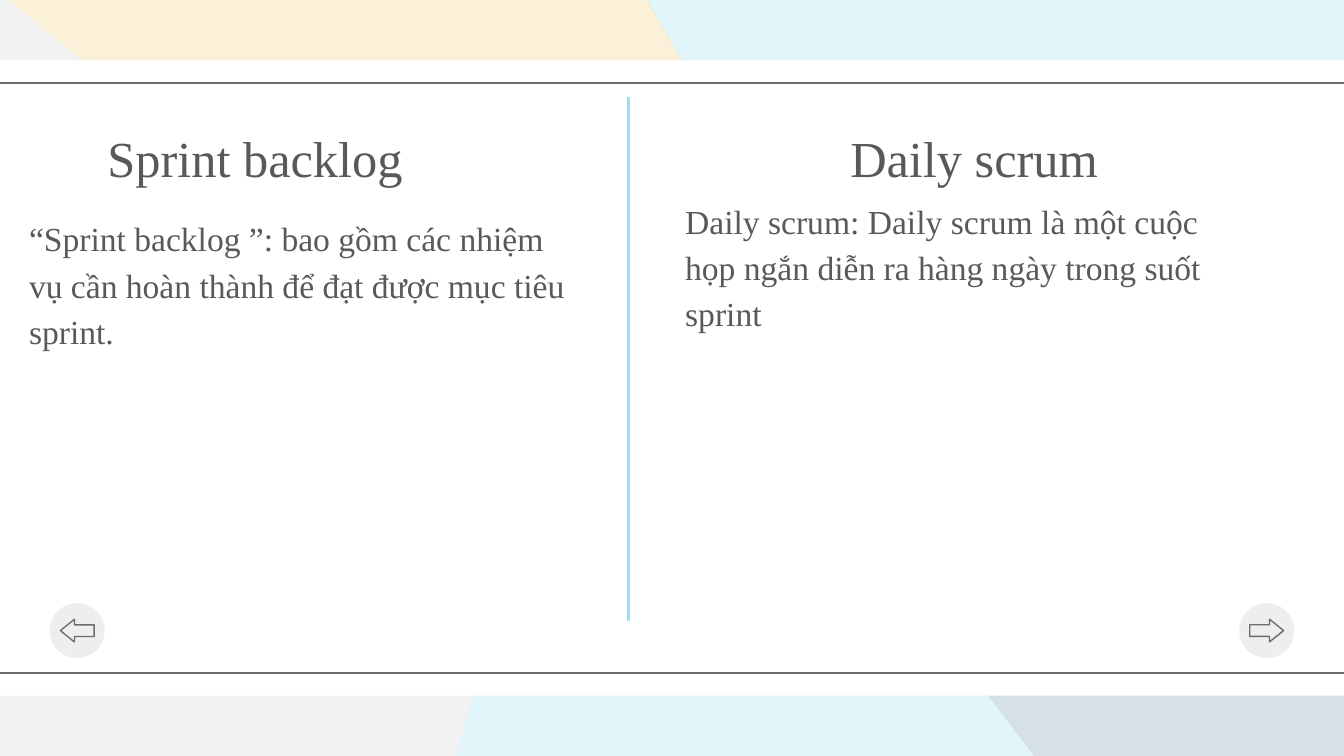
import pptx
import pptx.util
import pptx.dml.color
import pptx.enum.shapes
import pptx.enum.text
import pptx.oxml.ns
from dataclasses import dataclass
from lxml import etree

Cm, Pt = pptx.util.Cm, pptx.util.Pt
Kind = pptx.enum.shapes.MSO_SHAPE
WIDE, HIGH = 25.4, 14.29


@dataclass(frozen=True)
class Theme:
    font: str = "Times New Roman"
    text: str = "595959"
    line: str = "696E72"
    white: str = "FFFFFF"
    grey: str = "EEEEEE"
    sky: str = "9EDDEF"
    sand: str = "F7E5B7"
    steel: str = "96B3C1"
    head: float = 27
    body: float = 18
    thin: float = 0.75
    thick: float = 2


THEME = Theme()


def rgb(code):
    return pptx.dml.color.RGBColor.from_string(code)


def paint(shape, fill=None, line=None, alpha=None):
    """Set fill, outline and opacity in percent, and drop the shadow."""
    shape.shadow.inherit = False
    if fill:
        shape.fill.solid()
        shape.fill.fore_color.rgb = rgb(fill)
    else:
        shape.fill.background()
    if line:
        shape.line.color.rgb = rgb(line)
        shape.line.width = Pt(THEME.thin)
    else:
        shape.line.fill.background()
    if alpha:
        qn = pptx.oxml.ns.qn
        color = shape.fill._xPr.find(qn("a:solidFill"))[0]
        etree.SubElement(color, qn("a:alpha")).set("val", str(alpha * 1000))


def add_shape(slide, kind, box, **style):
    shape = slide.shapes.add_shape(kind, *map(Cm, box))
    paint(shape, **style)
    return shape


def add_line(slide, start, end, color, width):
    line = slide.shapes.add_connector(
        pptx.enum.shapes.MSO_CONNECTOR.STRAIGHT, *map(Cm, start + end))
    line.line.color.rgb = rgb(color)
    line.line.width = Pt(width)
    etree.SubElement(line._element.spPr, pptx.oxml.ns.qn("a:effectLst"))


def add_text(slide, box, text, size):
    shape = slide.shapes.add_textbox(*map(Cm, box))
    frame = shape.text_frame
    frame.word_wrap = True
    frame.vertical_anchor = pptx.enum.text.MSO_ANCHOR.TOP
    frame.margin_left = frame.margin_right = Cm(0.25)
    frame.margin_top = frame.margin_bottom = Cm(0.25)
    frame.text = text
    para = frame.paragraphs[0]
    font = para.runs[0].font
    font.name, font.size = THEME.font, Pt(size)
    font.color.rgb = rgb(THEME.text)
    return para


def add_frame(slide, box):
    """Coloured facets behind a white panel with a rule near each edge."""
    left, top, width, height = box
    facets = [
        (THEME.steel, 39, [(25.78, 15.06), (25.78, 8.15), (11.63, 3.86), (19.99, 14.88)]),
        (THEME.sky, 29, [(20.04, 14.96), (8.46, 14.83), (11.63, 3.71)]),
        (THEME.sky, 29, [(25.76, 8.15), (25.76, -0.25), (12.07, -0.25), (15.01, 4.8)]),
        (THEME.sand, 53, [(15.01, 4.85), (12.07, -0.3), (-0.2, -0.3),
                          (10.26, 8.41), (11.71, 3.86)]),
        (THEME.grey, 72, [(8.48, 14.78), (-0.08, 14.78), (-0.08, -0.2), (10.34, 8.36)]),
    ]
    for color, alpha, points in facets:
        points = [(Cm(left + x), Cm(top + y)) for x, y in points]
        build = slide.shapes.build_freeform(*points[0])
        build.add_line_segments(points[1:], close=True)
        paint(build.convert_to_shape(), fill=color, alpha=alpha)

    band, gap = 1.14, 0.43
    add_shape(slide, Kind.RECTANGLE, (left, top + band, width, height - 2 * band),
              fill=THEME.white)
    for y in (top + band + gap, top + height - band - gap):
        add_line(slide, (left, y), (left + width, y), THEME.line, THEME.thin)


def add_button(slide, box, turn):
    """Round button with an arrow centred in it, turned by degrees."""
    left, top, width, height = box
    add_shape(slide, Kind.OVAL, box, fill=THEME.grey)
    wide, high = 0.64, 0.43
    arrow = add_shape(slide, Kind.RIGHT_ARROW,
                      (left + (width - wide) / 2, top + (height - high) / 2, wide, high),
                      line=THEME.line)
    arrow.adjustments[0], arrow.adjustments[1] = 0.51, 0.62
    arrow.rotation = turn


def add_column(slide, box, head, body, inset, drop):
    """Heading moved in by inset, with the body text drop below the top."""
    left, top, width, height = box
    add_text(slide, (left + inset, top, width - inset, 1.47), head, THEME.head)
    para = add_text(slide, (left, top + drop, width, height - drop), body, THEME.body)
    para.line_spacing = 1.15
    para.space_after = Pt(16)


def main():
    deck = pptx.Presentation()
    deck.slide_width, deck.slide_height = Cm(WIDE), Cm(HIGH)
    slide = deck.slides.add_slide(deck.slide_layouts[6])

    add_frame(slide, (0, 0, WIDE, HIGH))
    side, edge = 1.04, 0.94
    for x, turn in ((edge, 180), (WIDE - edge - side, 0)):
        add_button(slide, (x, 11.4, side, side), turn)
    add_column(slide, (0.3, 2.16, 11, 9.04), "Sprint backlog",
               "“Sprint backlog ”: bao gồm các nhiệm vụ cần hoàn thành "
               "để đạt được mục tiêu sprint.", 1.48, 1.6)
    add_column(slide, (12.7, 2.16, 10.57, 8.71), "Daily scrum",
               "Daily scrum: Daily scrum là một cuộc họp ngắn diễn ra "
               "hàng ngày trong suốt sprint", 3.12, 1.27)
    add_line(slide, (11.88, 1.83), (11.88, 11.73), THEME.sky, THEME.thick)

    deck.save("out.pptx")


if __name__ == "__main__":
    main()
